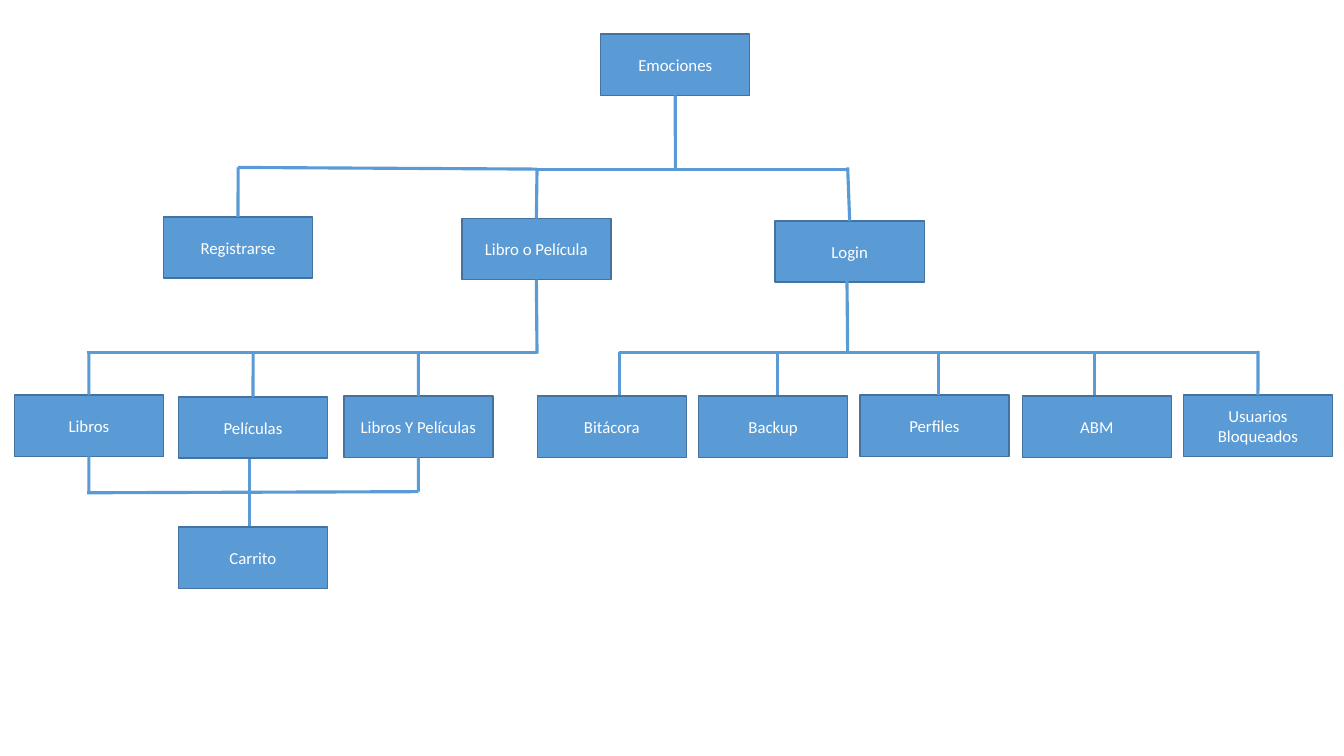
from typing import NamedTuple, Union

import pptx
import pptx.dml.color
import pptx.enum.shapes
import pptx.enum.text
import pptx.util
from lxml import etree
from pptx.oxml.ns import qn

BOX_WIDTH, BOX_HEIGHT = 106.5, 43.7
BLUE, DARK_BLUE, WHITE = "5B9BD5", "43739E", "FFFFFF"
TOP, BOTTOM = 0, 2


class Node(NamedTuple):
    label: str
    left: float
    top: float


class Point(NamedTuple):
    x: float
    y: float


class Side(NamedTuple):
    label: str
    site: int


class Link(NamedTuple):
    start: Union[Side, Point]
    end: Point


ROOT_BUS, ROOT_BUS_LEFT = 120.8, 119.6
LEAF_BUS, LEAF_BUS_TOP = 251.6, 250.6
CART_BUS, CART_BUS_RIGHT = 352, 351.2
ROOT_X, MEDIA_X, LOGIN_X, REGISTER_X = 482.4, 383.6, 605.5, 170.1
BOOKS_X, FILMS_X, BOTH_X, CART_X = 63.5, 180.8, 298.8, 178.3
LOG_X, BLOCKED_X = 442.3, 898.6

NODES = [
    Node("Emociones", 429.1, 24.4),
    Node("Login", 553.7, 157.8),
    Node("ABM", 730.2, 283),
    Node("Backup", 499, 283),
    Node("Bitácora", 383.8, 283),
    Node("Carrito", 127.4, 376.5),
    Node("Libro o Película", 329.9, 156.1),
    Node("Libros", 10.3, 282.3),
    Node("Libros Y Películas", 245.6, 283),
    Node("Películas", 127.5, 283.6),
    Node("Perfiles", 614.2, 282.3),
    Node("Registrarse", 116.8, 154.9),
    Node("Usuarios Bloqueados", 845.3, 282.3),
]

LINKS = [
    Link(Side("Emociones", BOTTOM), Point(ROOT_X, ROOT_BUS)),
    Link(Point(ROOT_X, ROOT_BUS), Point(LOGIN_X, ROOT_BUS)),
    Link(Point(ROOT_X, ROOT_BUS), Point(MEDIA_X, ROOT_BUS)),
    Link(Side("Libro o Película", TOP), Point(MEDIA_X, ROOT_BUS)),
    Link(Side("Login", TOP), Point(LOGIN_X, ROOT_BUS_LEFT)),
    Link(Point(MEDIA_X, ROOT_BUS), Point(REGISTER_X, ROOT_BUS_LEFT)),
    Link(Side("Registrarse", TOP), Point(REGISTER_X, ROOT_BUS_LEFT)),
    Link(Side("Libro o Película", BOTTOM), Point(MEDIA_X, 252.6)),
    Link(Point(MEDIA_X, LEAF_BUS), Point(62.2, LEAF_BUS)),
    Link(Side("Libros Y Películas", TOP), Point(BOTH_X, LEAF_BUS)),
    Link(Side("Películas", TOP), Point(FILMS_X, LEAF_BUS)),
    Link(Side("Libros", TOP), Point(BOOKS_X, LEAF_BUS)),
    Link(Point(62.2, CART_BUS), Point(BOTH_X, CART_BUS_RIGHT)),
    Link(Side("Libros Y Películas", BOTTOM), Point(BOTH_X, CART_BUS_RIGHT)),
    Link(Point(CART_X, 327.6), Point(CART_X, CART_BUS)),
    Link(Side("Libros", BOTTOM), Point(BOOKS_X, CART_BUS_RIGHT)),
    Link(Point(CART_X, 376), Point(CART_X, CART_BUS_RIGHT)),
    Link(Point(BLOCKED_X, LEAF_BUS), Point(LOG_X, LEAF_BUS)),
    Link(Point(605, 200.5), Point(LOGIN_X, 252.6)),
    Link(Point(LOG_X, 282.5), Point(LOG_X, LEAF_BUS)),
    Link(Point(555.1, 282.5), Point(555.1, LEAF_BUS)),
    Link(Point(670.3, 282.3), Point(670.3, LEAF_BUS_TOP)),
    Link(Point(782, 282.3), Point(782, LEAF_BUS_TOP)),
    Link(Side("Usuarios Bloqueados", TOP), Point(BLOCKED_X, LEAF_BUS_TOP)),
]


def color(value: str) -> pptx.dml.color.RGBColor:
    return pptx.dml.color.RGBColor.from_string(value)


def apply(target, formats: dict) -> None:
    for name, value in formats.items():
        setattr(target, name, value)


def draw_node(page, node: Node):
    box = page.shapes.add_shape(
        pptx.enum.shapes.MSO_SHAPE.RECTANGLE,
        *map(pptx.util.Pt, (node.left, node.top, BOX_WIDTH, BOX_HEIGHT)),
    )
    box.shadow.inherit = False
    box.fill.solid()
    box.fill.fore_color.rgb = color(BLUE)
    box.line.color.rgb = color(DARK_BLUE)
    box.line.width = pptx.util.Pt(1)
    apply(box.text_frame, {
        "word_wrap": True,
        "vertical_anchor": pptx.enum.text.MSO_ANCHOR.MIDDLE,
    })
    para = box.text_frame.paragraphs[0]
    para.alignment = pptx.enum.text.PP_ALIGN.CENTER
    span = para.add_run()
    span.text = node.label
    apply(span.font, {"name": "Calibri", "size": pptx.util.Pt(12)})
    span.font.color.rgb = color(WHITE)
    return box


def draw_link(page, link: Link, boxes: dict) -> None:
    joined = isinstance(link.start, Side)
    start = link.end if joined else link.start
    line = page.shapes.add_connector(
        pptx.enum.shapes.MSO_CONNECTOR.STRAIGHT,
        *map(pptx.util.Pt, (*start, *link.end)),
    )
    if joined:
        line.begin_connect(boxes[link.start.label], link.start.site)
    line.line.color.rgb = color(BLUE)
    line.line.width = pptx.util.Pt(2.25)
    etree.SubElement(line._element.spPr, qn("a:effectLst"))


def main() -> None:
    deck = pptx.Presentation()
    apply(deck, {"slide_width": pptx.util.Pt(960), "slide_height": pptx.util.Pt(540)})
    page = deck.slides.add_slide(deck.slide_layouts[6])
    boxes = {node.label: draw_node(page, node) for node in NODES}
    for link in LINKS:
        draw_link(page, link, boxes)
    deck.save("out.pptx")


if __name__ == "__main__":
    main()
